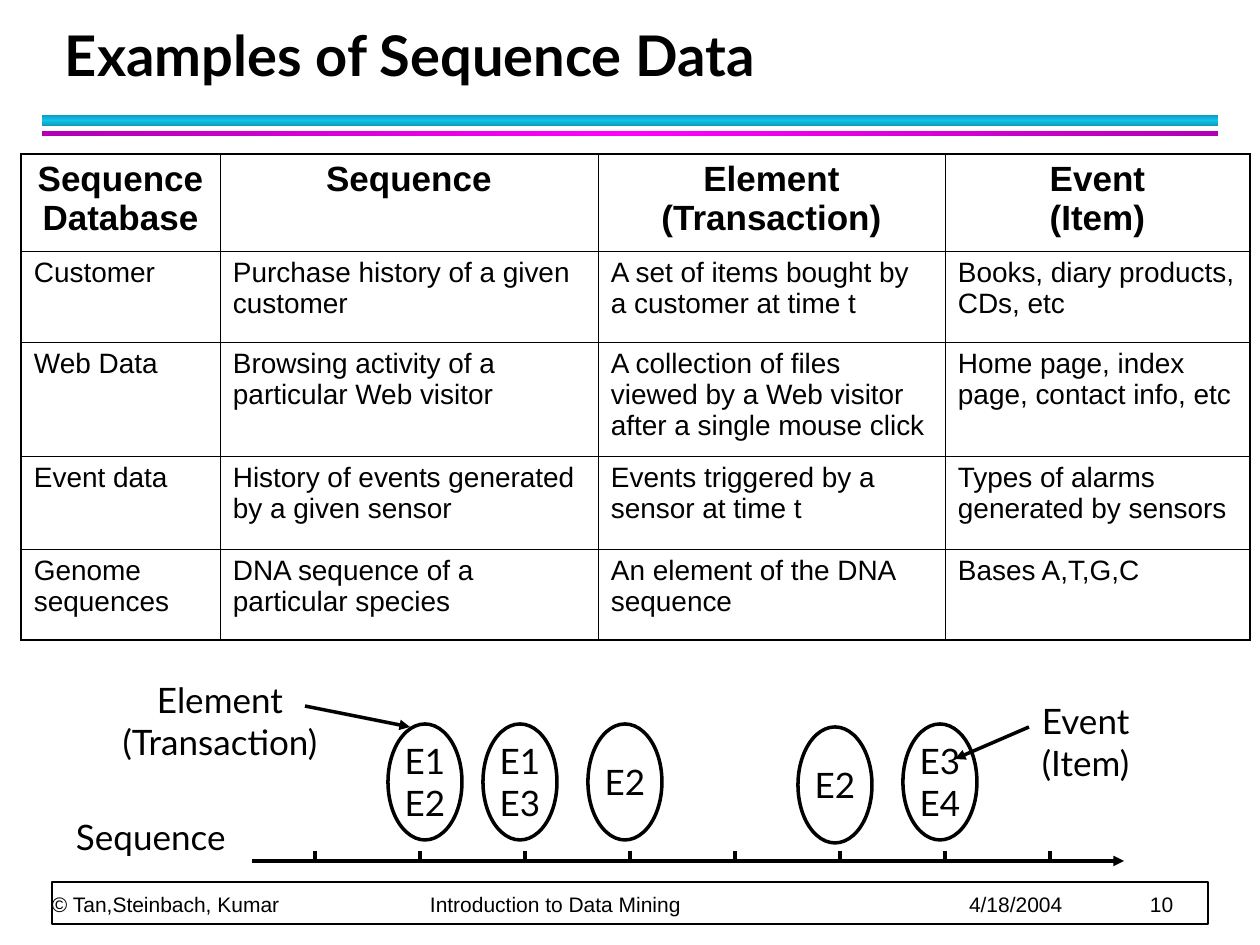
from copy import deepcopy
from lxml.etree import SubElement as Sub
from pptx import Presentation
from pptx.dml.color import RGBColor as Rgb
from pptx.enum.shapes import MSO_CONNECTOR as Conn, MSO_SHAPE as Shape
from pptx.enum.text import MSO_ANCHOR as Anchor, PP_ALIGN as Align
from pptx.oxml.ns import qn
from pptx.util import Pt

PX = 914400 / 126
INK = {"black": "000000", "white": "FFFFFF", "teal": "0E9BBA", "cyan": "12C2E9",
       "plum": "B200B2", "pink": "FF00FF"}
INK = {name: Rgb.from_string(code) for name, code in INK.items()}


def write(frame, text, size=20, font="Lato", bold=False, align=Align.LEFT, anchor=Anchor.TOP,
          wrap=True, pad=(13, 6), lead=None, after=0, tabs=()):
    frame.word_wrap = wrap
    frame.vertical_anchor = anchor
    frame.margin_left = frame.margin_right = int(pad[0] * PX)
    frame.margin_top = frame.margin_bottom = int(pad[1] * PX)
    para = frame.paragraphs[0]
    para.text = text
    para.alignment = align
    para.space_before = Pt(0)
    para.space_after = Pt(after)
    if lead:
        para.line_spacing = Pt(lead)
    if tabs:
        stops = Sub(para._p.get_or_add_pPr(), qn("a:tabLst"))
        for tab in tabs:
            Sub(stops, qn("a:tab"), pos=str(int(tab * PX)), algn="l")
    for run in para.runs:
        run.font.size = Pt(size)
        run.font.name = font
        run.font.bold = bold
        run.font.color.rgb = INK["black"]


def draw(x1, y1, x2, y2, arrow=False):
    ends = [int(n * PX) for n in (x1, y1, x2, y2)]
    line = slide.shapes.add_connector(Conn.STRAIGHT, *ends)
    line.line.color.rgb = INK["black"]
    line.line.width = Pt(2)
    if arrow:
        Sub(line.line._get_or_add_ln(), qn("a:tailEnd"), type="triangle")
    Sub(line._element.spPr, qn("a:effectLst"))


deck = Presentation()
deck.slide_width = int(1260 * PX)
deck.slide_height = int(945 * PX)
slide = deck.slides.add_slide(deck.slide_layouts[6])

for top, high, edge, mid, angle in [(115, 11, "teal", "cyan", 90), (131, 5, "plum", "pink", 0)]:
    bar = slide.shapes.add_shape(
        Shape.RECTANGLE, *[int(n * PX) for n in (42, top, 1176, high)])
    bar.shadow.inherit = False
    bar.line.fill.background()
    bar.fill.gradient()
    bar.fill.gradient_angle = angle
    stops = bar._element.spPr.find(".//" + qn("a:gsLst"))
    stops.insert(1, deepcopy(stops[0]))
    for stop, place, tone in zip(bar.fill.gradient_stops, (0, 0.5, 1), (edge, mid, edge)):
        stop.position = place
        stop.color.rgb = INK[tone]

foot = slide.shapes.add_shape(Shape.RECTANGLE, *[int(n * PX) for n in (52, 882, 1156, 42)])
foot.shadow.inherit = False
foot.fill.solid()
foot.fill.fore_color.rgb = INK["white"]
foot.line.color.rgb = INK["black"]
foot.line.width = Pt(1)

labels = [
    ((52, 847, 1153, 70),
     "© Tan,Steinbach, Kumar\tIntroduction to Data Mining\t4/18/2004\t10",
     dict(size=12, font="Arial", anchor=Anchor.BOTTOM, pad=(0, 0), lead=20,
          tabs=(378, 917, 1098))),
    ((52, 21, 1142, 73), "Examples of Sequence Data",
     dict(size=32, bold=True, anchor=Anchor.BOTTOM, lead=36)),
    ((63, 809, 210, 55), "Sequence", {}),
    ((94, 672, 252, 97), "Element (Transaction)", dict(align=Align.CENTER)),
    ((1029, 693, 136, 97), "Event\n(Item)", {}),
]
for spot, text, look in labels:
    box = slide.shapes.add_textbox(*[int(n * PX) for n in spot])
    write(box.text_frame, text, **look)

rows = [
    ["Sequence Database", "Sequence", "Element (Transaction)", "Event\n(Item)"],
    ["Customer", "Purchase history of a given customer",
     "A set of items bought by a customer at time t", "Books, diary products, CDs, etc"],
    ["Web Data", "Browsing activity of a particular Web visitor",
     "A collection of files viewed by a Web visitor after a single mouse click",
     "Home page, index page, contact info, etc"],
    ["Event data", "History of events generated by a given sensor",
     "Events triggered by a sensor at time t", "Types of alarms generated by sensors"],
    ["Genome sequences", "DNA sequence of a particular species",
     "An element of the DNA sequence", "Bases A,T,G,C"],
]
wide = [199, 378, 347, 305]
tall = [97, 91, 114, 93, 91]
spot = [int(n * PX) for n in (21, 154, sum(wide), sum(tall))]
table = slide.shapes.add_table(len(rows), len(wide), *spot).table
table.first_row = table.horz_banding = False
for col, width in zip(table.columns, wide):
    col.width = int(width * PX)
for r, (row, high) in enumerate(zip(rows, tall)):
    table.rows[r].height = int(high * PX)
    for c, text in enumerate(row):
        cell = table.cell(r, c)
        head = r == 0
        write(cell.text_frame, text, size=20 if head else 16, font="Arial", bold=head,
              align=Align.CENTER if head else Align.LEFT, after=4)
        cell.margin_left = cell.margin_right = int(13 * PX)
        cell.margin_top = cell.margin_bottom = int(6 * PX)
        props = cell._tc.get_or_add_tcPr()
        outer = {"L": c == 0, "R": c == len(wide) - 1, "T": head, "B": r == len(rows) - 1}
        for side, thick in outer.items():
            edge = Sub(props, qn("a:ln" + side), w=str(Pt(1.08 if thick else 0.45)))
            Sub(Sub(edge, qn("a:solidFill")), qn("a:srgbClr"), val=str(INK["black"]))
        cell.fill.background()

draw(252, 861, 1124, 861, arrow=True)
for i in range(8):
    x = 315 + 105 * i
    draw(x, 851, x, 861)

for x, y, text in [(388, 724, "E1\nE2"), (483, 724, "E1\nE3"), (588, 724, "E2"),
                   (903, 724, "E3\nE4"), (798, 727, "E2")]:
    oval = slide.shapes.add_shape(Shape.OVAL, *[int(n * PX) for n in (x, y, 74, 116)])
    oval.shadow.inherit = False
    oval.fill.background()
    oval.line.color.rgb = INK["black"]
    oval.line.width = Pt(2)
    write(oval.text_frame, text, align=Align.CENTER, anchor=Anchor.MIDDLE, wrap=False)

draw(305, 706, 410, 727, arrow=True)
draw(1029, 727, 955, 759, arrow=True)

deck.save("out.pptx")
